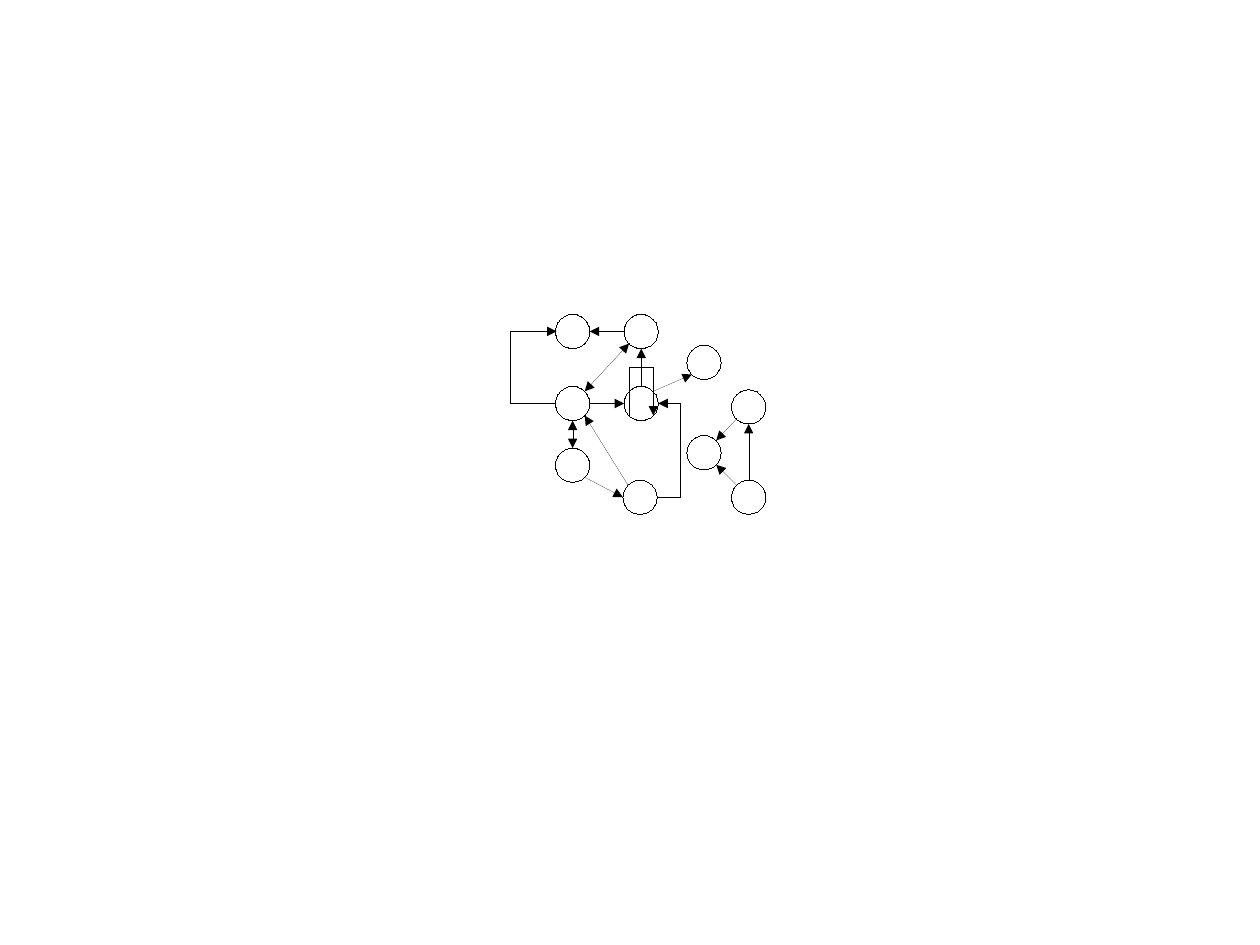
from math import sqrt
from pptx import Presentation
from pptx.dml.color import RGBColor
from pptx.enum.shapes import MSO_CONNECTOR, MSO_SHAPE
from pptx.oxml.ns import qn
from pptx.util import Cm, Inches
from lxml import etree

STRAIGHT = MSO_CONNECTOR.STRAIGHT
ELBOW = MSO_CONNECTOR.ELBOW
OVAL = MSO_SHAPE.OVAL

BLACK = "000000"
RADIUS = 0.15
MIN_SPAN = 0.01

NODES = {
    "west": (5.01, 3.53),
    "hub": (5.61, 3.53),
    "north": (5.61, 2.9),
    "southwest": (5.01, 4.07),
    "northeast": (6.16, 3.17),
    "northwest": (5.01, 2.9),
    "south": (5.6, 4.35),
    "triangle bottom": (6.55, 4.35),
    "triangle left": (6.16, 3.96),
    "triangle top": (6.55, 3.56),
}

SIDES = {
    "N": (0, -1), "S": (0, 1), "W": (-1, 0), "E": (1, 0),
    "NE": (1, -1), "NW": (-1, -1), "SE": (1, 1), "SW": (-1, 1),
}

ONE_WAY = [
    ("west", "E", "hub", "W"),
    ("hub", "N", "north", "S"),
    ("hub", "NE", "northeast", "SW"),
    ("north", "W", "northwest", "E"),
    ("southwest", "SE", "south", "W"),
    ("south", "NW", "west", "SE"),
    ("triangle bottom", "NW", "triangle left", "SE"),
    ("triangle bottom", "N", "triangle top", "S"),
    ("triangle top", "SW", "triangle left", "NE"),
]
TWO_WAY = [
    ("west", "NE", "north", "SW"),
    ("southwest", "N", "west", "S"),
]
DETOURS = [
    ("west", "W", "northwest", "W", 4.46),
    ("south", "E", "hub", "E", 5.95),
]
LOOP_NODE, LOOP_TOP = "hub", 3.21


def color(hex_string):
    return RGBColor.from_string(hex_string)


def rim_point(node, side):
    x, y = NODES[node]
    dx, dy = SIDES[side]
    reach = RADIUS / sqrt(dx * dx + dy * dy)
    return x + dx * reach, y + dy * reach


def draw_stroke(item, ends=()):
    item.line.color.rgb = color(BLACK)
    outline = item._element.spPr.find(qn("a:ln"))
    outline.set("w", "0")
    for end in ends:
        etree.SubElement(outline, qn("a:" + end), type="triangle")


def add_arrow(kind, begin, finish, ends):
    arrow = slide.shapes.add_connector(
        kind, *(Inches(value) for value in (*begin, *finish)))
    draw_stroke(arrow, ends)
    etree.SubElement(arrow._element.spPr, qn("a:effectLst"))
    return arrow


def add_detour(source, source_side, target, target_side, bend_x):
    begin = rim_point(source, source_side)
    finish_x, finish_y = rim_point(target, target_side)
    finish_x = max(finish_x, begin[0] + MIN_SPAN)
    arrow = add_arrow(ELBOW, begin, (finish_x, finish_y), ["tailEnd"])
    share = (bend_x - begin[0]) / (finish_x - begin[0])
    guides = arrow._element.spPr.find(qn("a:prstGeom")).get_or_add_avLst()
    etree.SubElement(guides, qn("a:gd"), name="adj1",
                     fmla=f"val {round(share * 100000)}")


def add_loop(node, top):
    left, bottom = rim_point(node, "SW")
    right, _ = rim_point(node, "SE")
    corners = [(Inches(x), Inches(y)) for x, y in
               [(left, bottom), (left, top), (right, top), (right, bottom)]]
    builder = slide.shapes.build_freeform(*corners[0])
    builder.add_line_segments(corners[1:], close=False)
    loop = builder.convert_to_shape()
    loop.fill.background()
    draw_stroke(loop, ["tailEnd"])
    loop.shadow.inherit = False


prs = Presentation()
prs.slide_width, prs.slide_height = Cm(28), Cm(21)
slide = prs.slides.add_slide(prs.slide_layouts[6])

for x, y in NODES.values():
    circle = slide.shapes.add_shape(
        OVAL, Inches(x - RADIUS), Inches(y - RADIUS),
        Inches(2 * RADIUS), Inches(2 * RADIUS))
    circle.fill.background()
    draw_stroke(circle)
    circle.shadow.inherit = False

for links, ends in [(ONE_WAY, ["tailEnd"]), (TWO_WAY, ["headEnd", "tailEnd"])]:
    for source, source_side, target, target_side in links:
        add_arrow(STRAIGHT, rim_point(source, source_side),
                  rim_point(target, target_side), ends)

for detour in DETOURS:
    add_detour(*detour)

add_loop(LOOP_NODE, LOOP_TOP)

prs.save("out.pptx")
